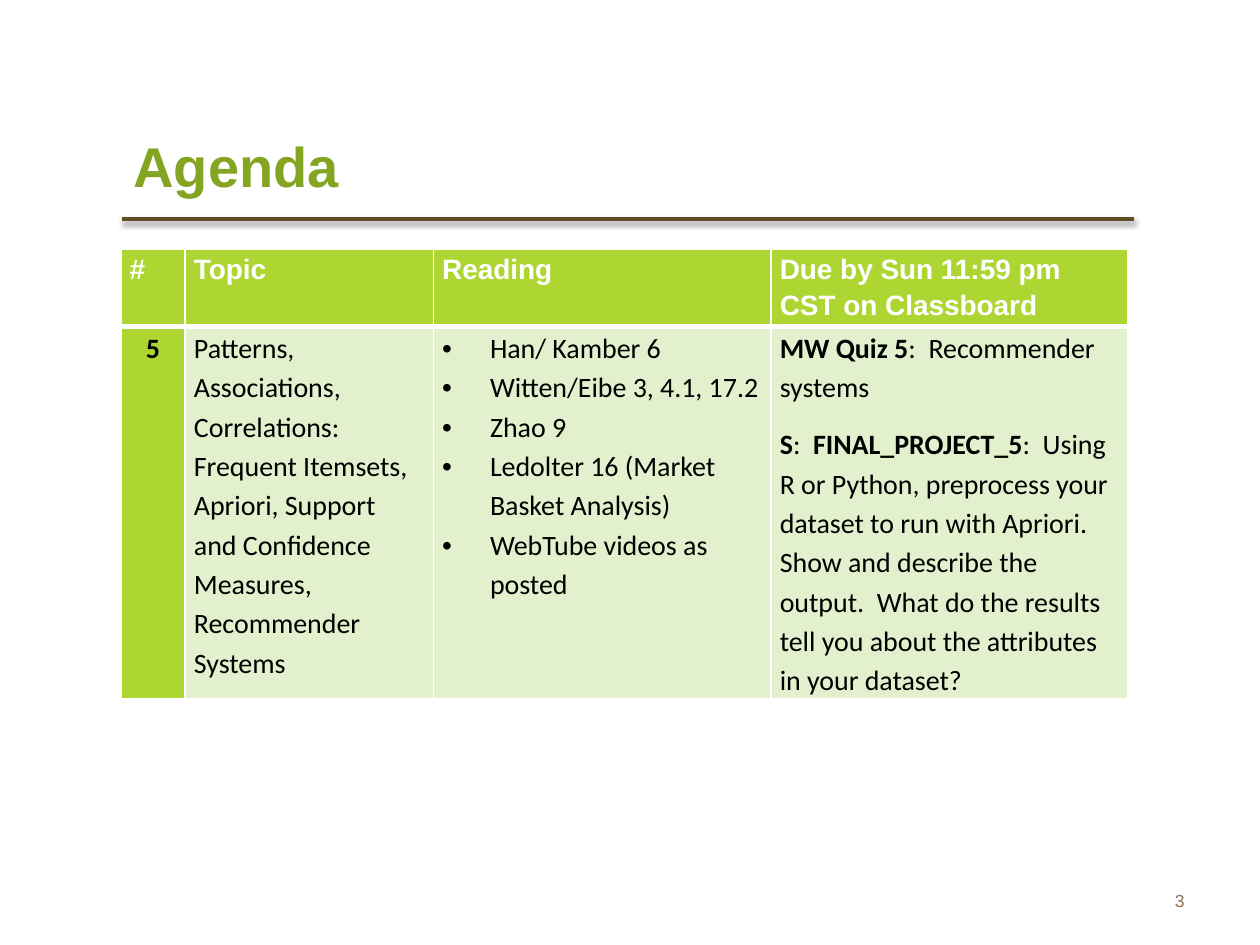
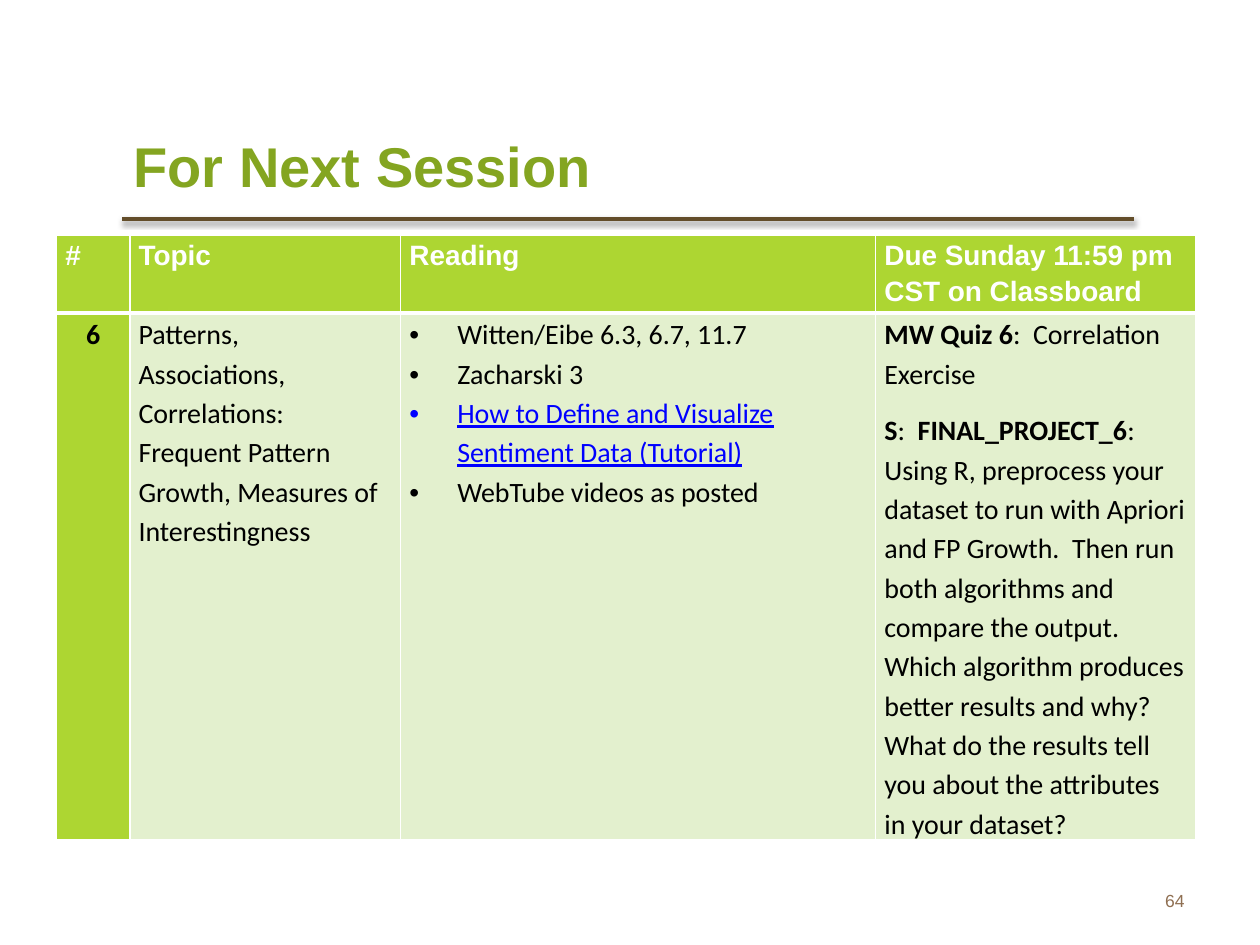
from lxml import etree
from pptx import Presentation
from pptx.dml.color import RGBColor
from pptx.enum import shapes, text
from pptx.oxml import ns
from pptx.util import Inches, Pt

GREEN, LIME, PALE = "84A521", "ADD632", "E3F0CE"
BROWN, TAN, WHITE, BLACK, BLUE = "634D2A", "8F6F52", "FFFFFF", "000000", "0000FF"

TITLE = dict(name="Arial", size=Pt(32), bold=True, color=GREEN)
NUMBER = dict(name="Arial", size=Pt(10), color=TAN)
HEAD = dict(name="Arial", size=Pt(16), bold=True, color=WHITE)
BODY = dict(name="Calibri", size=Pt(16), bold=False, color=BLACK)
STRONG = BODY | dict(bold=True)
LINK = BODY | dict(color=BLUE, underline=True)

TUTORIAL = "How to Define and Visualize Sentiment Data (Tutorial)"

SLIDES = [
    dict(
        title="Agenda", number="3", at=(0.96, 1.98),
        cols=(0.51, 1.97, 2.68, 2.83), rows=(0.56, 2.95),
        due="Due by Sun 11:59 pm CST on Classboard",
        week="5",
        topic="Patterns, Associations, Correlations: Frequent Itemsets, Apriori, "
              "Support and Confidence Measures, Recommender Systems",
        reading=["Han/ Kamber 6", "Witten/Eibe 3, 4.1, 17.2", "Zhao 9",
                 "Ledolter 16 (Market Basket Analysis)", "WebTube videos as posted"],
        tasks=[("MW Quiz 5", ":  Recommender systems"),
               ("S", ":  ", "FINAL_PROJECT_5",
                ":  Using R or Python, preprocess your dataset to run with Apriori.  "
                "Show and describe the output.  What do the results tell you about "
                "the attributes in your dataset?")],
    ),
    dict(
        title="For Next Session", number="64", at=(0.45, 1.87),
        cols=(0.58, 2.15, 3.77, 2.54), rows=(0.56, 4.18),
        due="Due Sunday 11:59 pm CST on Classboard",
        week="6",
        topic="Patterns, Associations, Correlations:  Frequent Pattern Growth, "
              "Measures of Interestingness",
        reading=["Witten/Eibe 6.3, 6.7, 11.7", "Zacharski 3", TUTORIAL,
                 "WebTube videos as posted"],
        tasks=[("MW Quiz 6", ":  Correlation Exercise"),
               ("S", ":  ", "FINAL_PROJECT_6",
                ":  Using R, preprocess your dataset to run with Apriori and FP Growth.  "
                "Then run both algorithms and compare the output.  Which algorithm "
                "produces better results and why?  What do the results tell you about "
                "the attributes in your dataset?")],
    ),
]


def rgb(value):
    return RGBColor.from_string(value)


def sub(parent, tag, **attrs):
    return etree.SubElement(parent, ns.qn(tag), {k: str(v) for k, v in attrs.items()})


def add_run(p, words, fmt):
    r = p.add_run()
    r.text = words
    for key, value in fmt.items():
        if key == "color":
            r.font.color.rgb = rgb(value)
        else:
            setattr(r.font, key, value)


def place(sp, left, top, width, height):
    for key, value in zip(("left", "top", "width", "height"), (left, top, width, height)):
        setattr(sp, key, Inches(value))


def add_rule(s):
    sp = s.shapes.add_connector(shapes.MSO_CONNECTOR.STRAIGHT,
                                Inches(0.97), Inches(1.74), Inches(9), Inches(1.74))
    sp.line.color.rgb = rgb(BROWN)
    sp.line.width = Pt(2)
    effects = sub(sp._element.spPr, "a:effectLst")
    shadow = sub(effects, "a:outerShdw", blurRad=Pt(3.1), dist=Pt(1.6),
                 dir=90 * 60000, rotWithShape=0)
    sub(sub(shadow, "a:srgbClr", val=BLACK), "a:alpha", val=38000)


def add_title(s, words):
    sp = s.shapes.title
    place(sp, 0.96, 0.86, 5.77, 0.9)
    tf = sp.text_frame
    tf.auto_size = text.MSO_AUTO_SIZE.NONE
    tf.vertical_anchor = text.MSO_ANCHOR.MIDDLE
    p = tf.paragraphs[0]
    p.alignment = text.PP_ALIGN.LEFT
    add_run(p, words, TITLE)


def add_number(s, words):
    sp = s.shapes.add_textbox(Inches(7.17), Inches(6.95), Inches(2.33), Inches(0.4))
    tf = sp.text_frame
    tf.word_wrap = True
    tf.vertical_anchor = text.MSO_ANCHOR.MIDDLE
    p = tf.paragraphs[0]
    p.alignment = text.PP_ALIGN.RIGHT
    add_run(p, words, NUMBER)


def style_cell(cell, fill, top, bottom):
    tc_pr = cell._tc.get_or_add_tcPr()
    for side, width in (("L", 1), ("R", 1), ("T", top), ("B", bottom)):
        ln = sub(tc_pr, f"a:ln{side}", w=Pt(width))
        sub(sub(ln, "a:solidFill"), "a:srgbClr", val=WHITE)
    cell.fill.solid()
    cell.fill.fore_color.rgb = rgb(fill)
    for key, value in dict(left=0.07, right=0.07, top=0, bottom=0).items():
        setattr(cell, f"margin_{key}", Inches(value))


def write_cell(cell, paragraphs, after=0, bullet=False, align=None):
    tf = cell.text_frame
    for i, runs in enumerate(paragraphs):
        p = tf.add_paragraph() if i else tf.paragraphs[0]
        if bullet:
            p_pr = p._p.get_or_add_pPr()
            p_pr.set("marL", str(Inches(0.38)))
            p_pr.set("indent", str(Inches(-0.38)))
            sub(p_pr, "a:buFont", typeface="Arial")
            sub(p_pr, "a:buChar", char="•")
        p.line_spacing = 1.15
        p.space_after = Pt(after)
        p.alignment = align
        for words, fmt in runs:
            add_run(p, words, fmt)


def add_schedule(s, item):
    cols, rows = item["cols"], item["rows"]
    left, top = item["at"]
    table = s.shapes.add_table(len(rows), len(cols), Inches(left), Inches(top),
                               Inches(sum(cols)), Inches(sum(rows))).table
    table.horz_banding = False
    for part, sizes, key in ((table.columns, cols, "width"), (table.rows, rows, "height")):
        for line, size in zip(part, sizes):
            setattr(line, key, Inches(size))

    for c, words in enumerate(("#", "Topic", "Reading", item["due"])):
        style_cell(table.cell(0, c), LIME, 1, 3)
        write_cell(table.cell(0, c), [[(words, HEAD)]])
        style_cell(table.cell(1, c), PALE if c else LIME, 3, 1)

    reading = [[(words, LINK if words == TUTORIAL else BODY)] for words in item["reading"]]
    tasks = [[(words, BODY if i % 2 else STRONG) for i, words in enumerate(task)]
             for task in item["tasks"]]
    write_cell(table.cell(1, 0), [[(item["week"], STRONG)]], align=text.PP_ALIGN.CENTER)
    write_cell(table.cell(1, 1), [[(item["topic"], BODY)]], after=10)
    write_cell(table.cell(1, 2), reading, bullet=True)
    write_cell(table.cell(1, 3), tasks, after=10)


def main():
    prs = Presentation()
    prs.slide_width, prs.slide_height = Inches(10), Inches(7.5)
    for item in SLIDES:
        s = prs.slides.add_slide(prs.slide_layouts[5])
        add_rule(s)
        add_number(s, item["number"])
        add_title(s, item["title"])
        add_schedule(s, item)
    prs.save("out.pptx")


if __name__ == "__main__":
    main()
